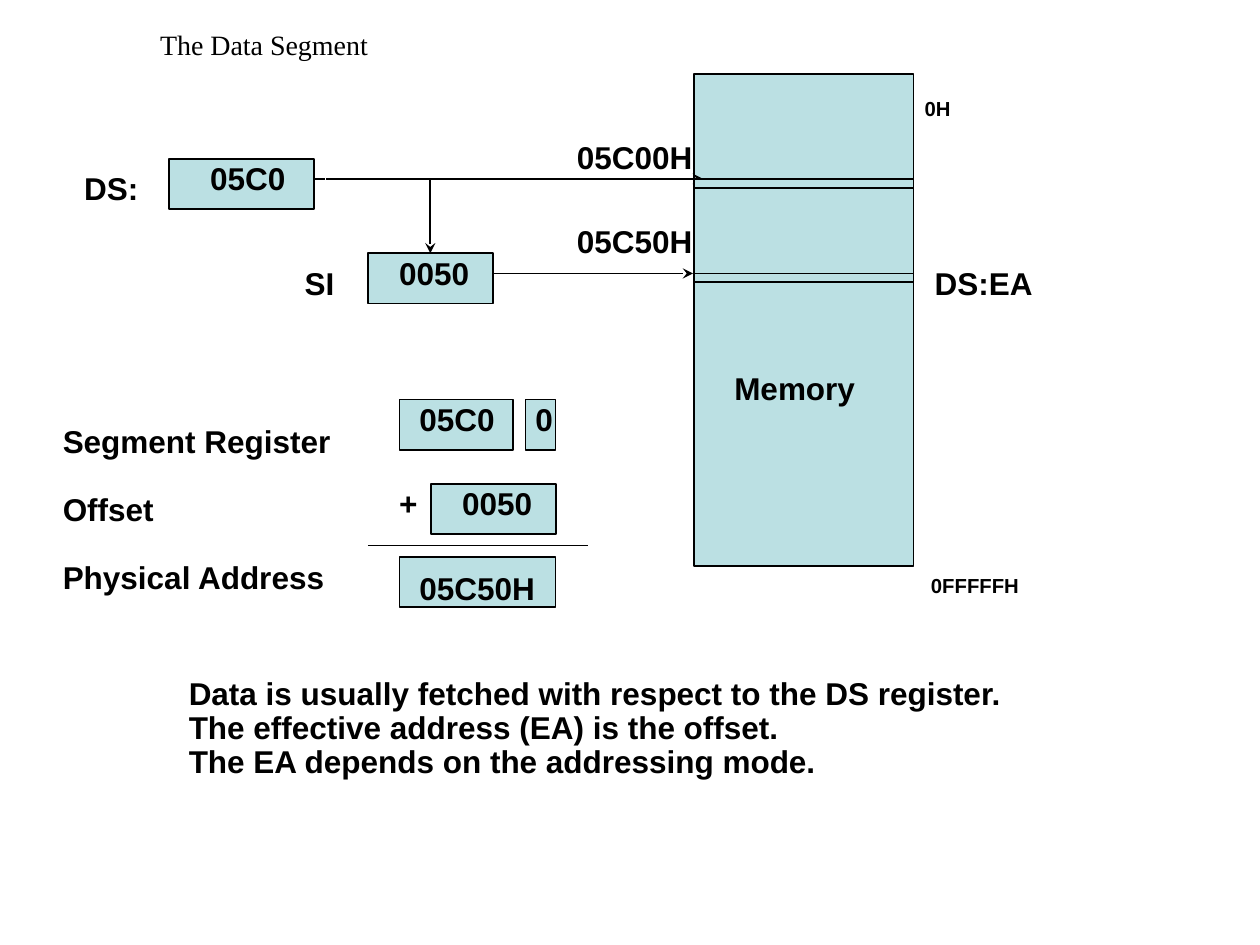
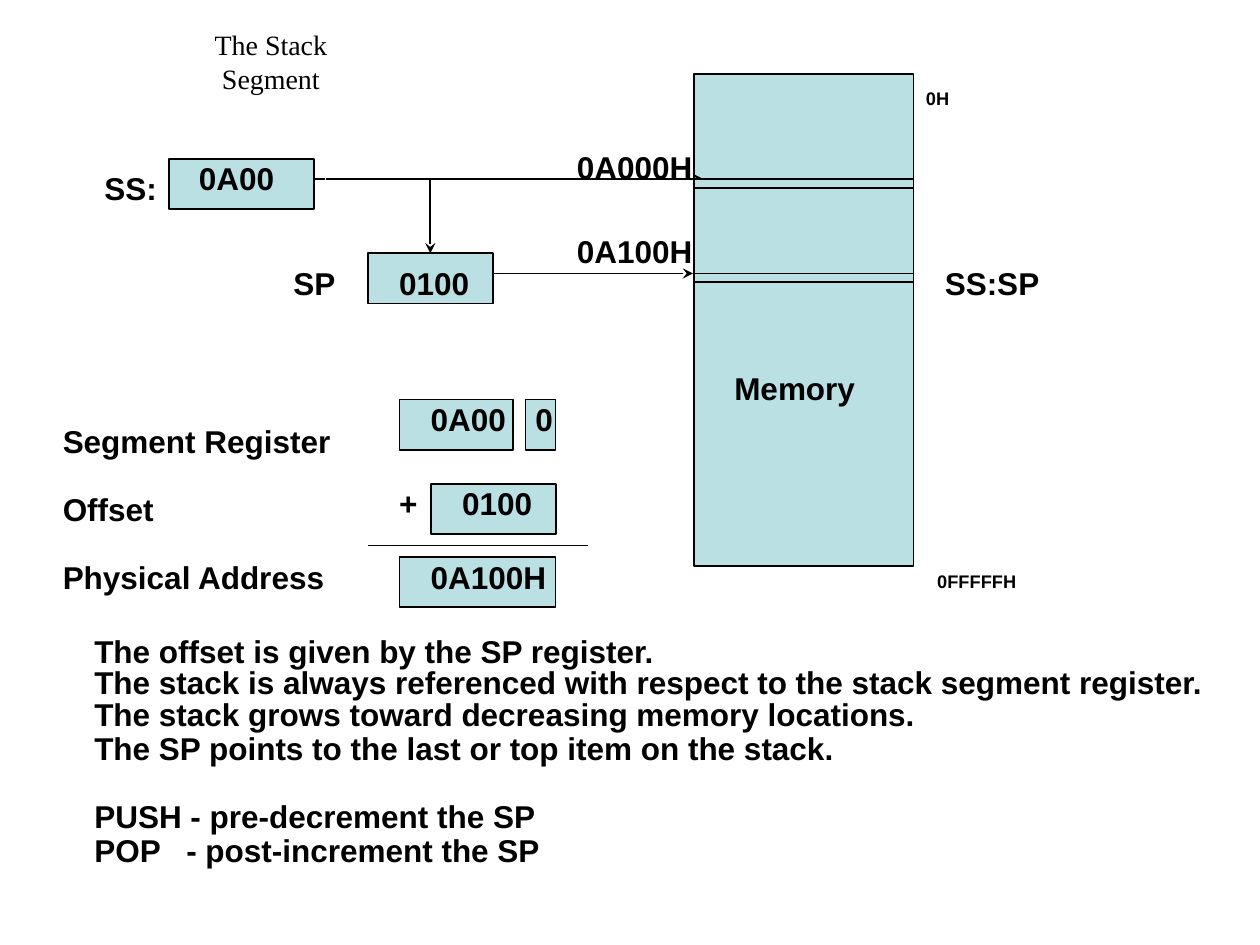
from lxml import etree
from pptx import Presentation
from pptx.dml.color import RGBColor
from pptx.enum.shapes import MSO_CONNECTOR as Connector, MSO_SHAPE as Shape
from pptx.enum.text import MSO_AUTO_SIZE as AutoSize, PP_ALIGN as Align
from pptx.oxml.ns import qn
from pptx.util import Inches, Pt

BLACK = RGBColor(0x00, 0x00, 0x00)
PALE_TEAL = RGBColor(0xBB, 0xE0, 0xE3)

BODY_FONT = {"name": "Arial", "size": Pt(18), "bold": True}
TITLE_FONT = {"name": "Times New Roman", "size": Pt(16), "bold": False}
BLANK_LINE = 19.5  # points
LINE_HEIGHT = 0.27
POP_TAB = 0.73

# Diagram parts: left, top, width, height
MEMORY = (5.51, 0.59, 1.74, 3.9)
SEGMENT_BOX = (1.34, 1.26, 1.15, 0.4)
OFFSET_BOX = (2.92, 2.01, 0.99, 0.4)
STRIP_TOPS = (1.42, 2.17)
STRIP_HEIGHT = 0.07
SUM_BOXES = [
    (3.17, 3.17, 0.9, 0.4),
    (4.17, 3.17, 0.24, 0.4),
    (3.42, 3.84, 0.99, 0.4),
    (3.17, 4.42, 1.24, 0.4),
]

# Text blocks: left, top, width, paragraphs (a pair adds space before, in points)
SHARED_TEXTS = [
    (5.73, 2.91, 1.16, ["Memory"]),
    (0.4, 3.33, 2.33, ["Segment Register", ("Offset", BLANK_LINE),
                       ("Physical Address", BLANK_LINE)]),
    (3.07, 3.83, 0.35, ["+"]),
    (4.15, 3.16, 0.34, ["0"]),
]
SEGMENTS = [
    {
        "title": (1.2, 1.79, "The Data Segment"),
        "texts": [
            (0.57, 1.33, 0.63, ["DS:"]),
            (2.32, 2.08, 0.44, ["SI"]),
            (1.57, 1.25, 0.8, ["05C0"]),
            (3.07, 2, 0.76, ["0050"]),
            (4.48, 1.08, 1.12, ["05C00H"]),
            (4.48, 1.75, 1.12, ["05C50H"]),
            (3.23, 3.16, 0.8, ["05C0"]),
            (3.57, 3.83, 0.76, ["0050"]),
            (3.23, 4.5, 1.12, ["05C50H"]),
            (1.4, 5.33, 6.66, [
                "Data is usually fetched with respect to the DS register.",
                "The effective address (EA) is the offset.",
                "The EA depends on the addressing mode.",
            ]),
            (7.32, 2.08, 0.98, ["DS:EA"]),
        ],
        "limit_size": 20,
        "limits": [(7.24, 0.53, 0.41, ["0H"]), (7.29, 4.32, 0.9, ["0FFFFFH"])],
    },
    {
        "title": (1.22, 1.86, "The Stack Segment"),
        "texts": [
            (0.73, 1.33, 0.62, ["SS:"]),
            (2.23, 2.08, 0.54, ["SP"]),
            (1.48, 1.25, 0.8, ["0A00"]),
            (3.07, 2.08, 0.76, ["0100"]),
            (4.48, 1.16, 1.12, ["0A000H"]),
            (4.48, 1.83, 1.12, ["0A100H"]),
            (3.32, 3.16, 0.8, ["0A00"]),
            (3.57, 3.83, 0.76, ["0100"]),
            (3.32, 4.41, 1.12, ["0A100H"]),
            (0.65, 5, 4.66, ["The offset is given by the SP register."]),
            (0.65, 5.25, 9.01, [
                "The stack is always referenced with respect to the stack segment register.",
            ]),
            (0.65, 5.5, 6.72, [
                "The stack grows toward decreasing memory locations.",
                "The SP points to the last or top item on the stack.",
                ("PUSH - pre-decrement the SP", BLANK_LINE),
                "POP\t- post-increment the SP",
            ]),
            (7.4, 2.08, 0.95, ["SS:SP"]),
        ],
        "limit_size": 18,
        "limits": [(7.25, 0.48, 0.39, ["0H"]), (7.34, 4.31, 0.83, ["0FFFFFH"])],
    },
]


def add_box(page, place):
    box = page.shapes.add_shape(Shape.RECTANGLE, *map(Inches, place))
    box.shadow.inherit = False
    box.fill.solid()
    box.fill.fore_color.rgb = PALE_TEAL
    box.line.color.rgb = BLACK
    box.line.width = Pt(1)
    return box


def add_line(page, start, end, arrow=False):
    line = page.shapes.add_connector(Connector.STRAIGHT, *map(Inches, start + end))
    line.line.color.rgb = BLACK
    line.line.width = Pt(1)
    if arrow:
        etree.SubElement(line.line._get_or_add_ln(), qn("a:tailEnd"), type="stealth")
    etree.SubElement(line._element.spPr, qn("a:effectLst"))
    return line


def add_text(page, left, top, width, paragraphs, font=BODY_FONT, spacing=0.9,
             align=Align.LEFT, margins=(0.1, 0.05), lowered=False):
    lines = [item if isinstance(item, tuple) else (item, 0) for item in paragraphs]
    height = 2 * margins[1] + LINE_HEIGHT * len(lines) + sum(gap for _, gap in lines) / 72
    box = page.shapes.add_textbox(*map(Inches, (left, top, width, height)))
    frame = box.text_frame
    frame.word_wrap = False
    frame.auto_size = AutoSize.SHAPE_TO_FIT_TEXT
    frame.margin_left = frame.margin_right = Inches(margins[0])
    frame.margin_top = frame.margin_bottom = Inches(margins[1])
    for number, (text, gap) in enumerate(lines):
        para = frame.add_paragraph() if number else frame.paragraphs[0]
        para.alignment = align
        para.line_spacing = spacing
        if gap:
            para.space_before = Pt(gap)
        if "\t" in text:
            tabs = etree.SubElement(para._p.get_or_add_pPr(), qn("a:tabLst"))
            etree.SubElement(tabs, qn("a:tab"), pos=str(Inches(POP_TAB)), algn="l")
        span = para.add_run()
        span.text = text
        for name, value in font.items():
            setattr(span.font, name, value)
        span.font.color.rgb = BLACK
        if lowered:
            span._r.get_or_add_rPr().set("baseline", "-25000")


def add_diagram(page):
    """Draw the registers, the memory column and the address sum."""
    add_box(page, MEMORY)
    add_box(page, SEGMENT_BOX)
    offset_box = add_box(page, OFFSET_BOX)
    left, _, width, _ = MEMORY
    segment_y, offset_y = STRIP_TOPS
    branch_x = OFFSET_BOX[0] + OFFSET_BOX[2] / 2
    add_line(page, (2.5, segment_y), (2.58, segment_y))
    add_line(page, (2.59, segment_y), (5.58, segment_y), arrow=True)
    branch = add_line(page, (branch_x, segment_y), (branch_x, OFFSET_BOX[1]), arrow=True)
    branch.end_connect(offset_box, 0)
    add_line(page, (3.92, offset_y), (5.5, offset_y), arrow=True)
    for top in STRIP_TOPS:
        add_box(page, (left, top, width, STRIP_HEIGHT))
    for place in SUM_BOXES:
        add_box(page, place)
    add_line(page, (2.92, 4.33), (4.67, 4.33))


def add_segment_page(deck, segment):
    page = deck.slides.add_slide(deck.slide_layouts[6])
    left, width, title = segment["title"]
    add_text(page, left, 0.19, width, [title], font=TITLE_FONT, spacing=1.0,
             align=Align.CENTER, margins=(0.07, 0.03))
    add_diagram(page)
    for block in SHARED_TEXTS + segment["texts"]:
        add_text(page, *block)
    limit_font = {**BODY_FONT, "size": Pt(segment["limit_size"])}
    for block in segment["limits"]:
        add_text(page, *block, font=limit_font, lowered=True)


def main():
    deck = Presentation()
    deck.slide_width, deck.slide_height = Inches(10), Inches(7.5)
    for segment in SEGMENTS:
        add_segment_page(deck, segment)
    deck.save("out.pptx")


if __name__ == "__main__":
    main()
